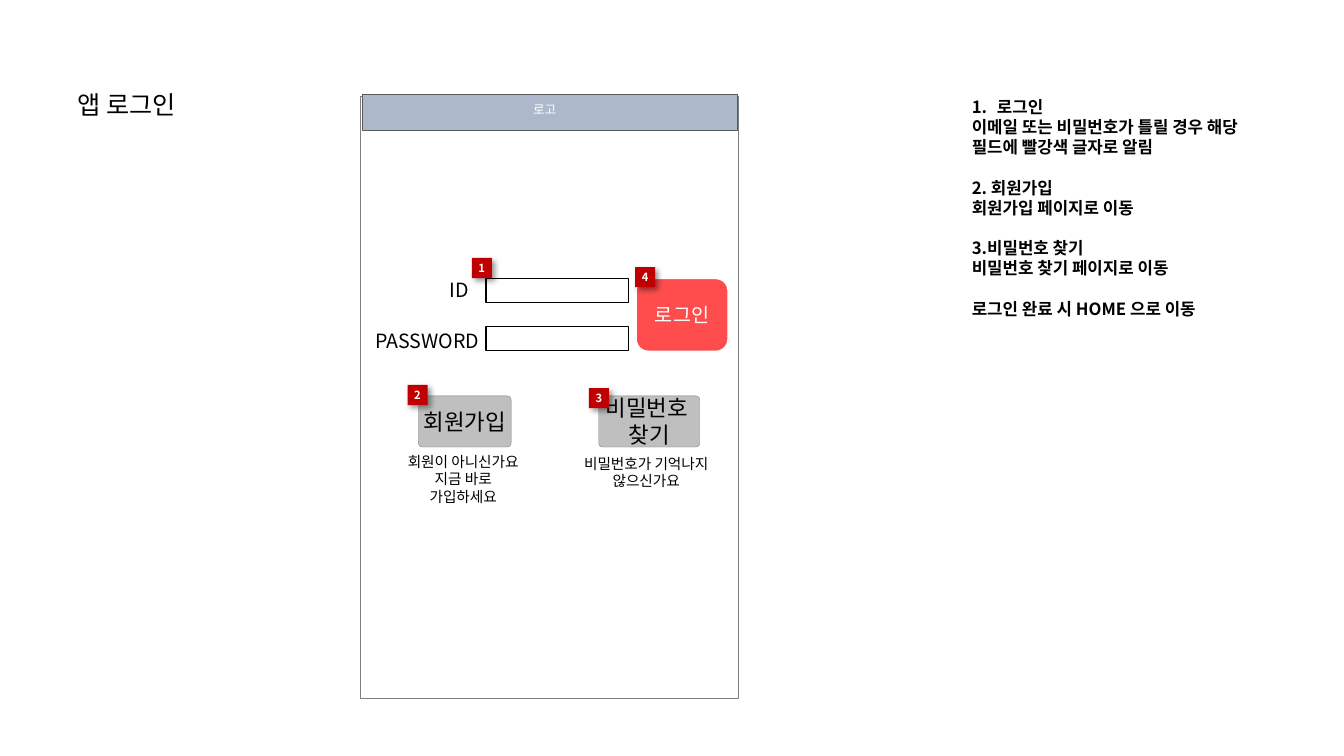
from collections import namedtuple

from lxml.etree import SubElement
from pptx import Presentation
from pptx.dml.color import RGBColor
from pptx.enum.shapes import MSO_SHAPE as Shape
from pptx.enum.text import MSO_ANCHOR as Anchor, PP_ALIGN as Align
from pptx.oxml.ns import qn
from pptx.util import Inches, Pt

FONT = "Noto Sans CJK KR"
Box = namedtuple("Box", "left top width height")
SLIDE = Box(0, 0, 13.33, 7.5)


def part(box, left, top, width, height):
    """Return the area given in percent of the box."""
    return Box(box.left + box.width * left / 100, box.top + box.height * top / 100,
               box.width * width / 100, box.height * height / 100)


def color(hex_code):
    return RGBColor.from_string(hex_code)


def apply(target, values):
    for name, value in values.items():
        setattr(target, name, value)


def write(holder, lines, size, ink="000000", bold=False, align=Align.LEFT,
          anchor=Anchor.TOP, margins=(0.1, 0.05), wrap=True):
    frame = holder.text_frame
    side, edge = map(Inches, margins)
    apply(frame, {"word_wrap": wrap, "vertical_anchor": anchor,
                  "margin_left": side, "margin_right": side,
                  "margin_top": edge, "margin_bottom": edge})
    for index, line in enumerate(lines):
        paragraph = frame.add_paragraph() if index else frame.paragraphs[0]
        apply(paragraph, {"alignment": align, "line_spacing": Pt(size * 1.2)})
        run = paragraph.add_run()
        run.text = line
        apply(run.font, {"size": Pt(size), "bold": bold, "name": FONT})
        run.font.color.rgb = color(ink)
        SubElement(run.font._element, qn("a:ea"), typeface=FONT)
    return frame


def add_text(slide, box, lines, size, **style):
    return write(slide.shapes.add_textbox(*map(Inches, box)), lines, size, **style)


def add_panel(slide, box, fill, line=None, weight=1, kind=Shape.RECTANGLE, corner=None):
    panel = slide.shapes.add_shape(kind, *map(Inches, box))
    panel.shadow.inherit = False
    panel.fill.solid()
    panel.fill.fore_color.rgb = color(fill)
    if line:
        panel.line.color.rgb = color(line)
        panel.line.width = Pt(weight)
    else:
        panel.line.fill.background()
    if corner:
        panel.adjustments[0] = corner
    return panel


def set_alpha(parent, percent):
    SubElement(parent.find(".//" + qn("a:srgbClr")), qn("a:alpha"), val=str(percent * 1000))


def add_badge(slide, box, number):
    badge = add_panel(slide, box, "C00000")
    effects = badge._element.spPr.find(qn("a:effectLst"))
    shadow = SubElement(effects, qn("a:outerShdw"), blurRad=str(Pt(4)), dist=str(Pt(3)),
                        dir=str(45 * 60000), algn="tl", rotWithShape="0")
    SubElement(shadow, qn("a:srgbClr"), val="000000")
    set_alpha(shadow, 40)
    write(badge, [str(number)], 8, ink="FFFFFF", bold=True, align=Align.CENTER,
          anchor=Anchor.MIDDLE, margins=(0, 0), wrap=False)


def add_header(slide, box):
    add_panel(slide, part(box, 0.3, -0.3, 99.2, 5.9), "ADB9CA", "595959", 0.75)
    add_text(slide, part(box, 42.9, 0, 28.3, 5.2), ["로고"], 9, ink="FFFFFF")


def add_login_form(slide, box):
    for label, left, label_top, width, field_top in (("ID", 20.8, 29.3, 13.1, 30.2),
                                                     ("PASSWORD", 1.1, 37.7, 36, 38.2)):
        add_panel(slide, part(box, 33.1, field_top, 37.6, 4), "FFFFFF", "000000")
        add_text(slide, part(box, left, label_top, width, 5.7), [label], 14)
    login = add_panel(slide, part(box, 72.8, 30.2, 24.3, 12.1), "FF0000", "FFFFFF",
                      kind=Shape.ROUNDED_RECTANGLE)
    set_alpha(login._element.spPr.find(qn("a:solidFill")), 70)
    write(login, ["로그인"], 14, ink="FFFFFF", align=Align.CENTER, anchor=Anchor.MIDDLE)


def add_account_links(slide, box):
    links = (
        (["회원가입"], (15.2, 24.5),
         ["회원이 아니신가요", "지금 바로 가입하세요"], (7.7, 58.3, 38.7, 7.5)),
        (["비밀번호 ", "찾기"], (62.9, 26.7),
         ["비밀번호가 기억나지", "않으신가요"], (54.1, 58.6, 42.7, 7.5)),
    )
    for name, (left, width), caption, caption_area in links:
        add_text(slide, part(box, *caption_area), caption, 10.5, align=Align.CENTER)
        button = add_panel(slide, part(box, left, 49.7, width, 8.5), "BFBFBF", "808080", 0.25,
                           Shape.ROUNDED_RECTANGLE, 0.075)
        write(button, name, 16, align=Align.CENTER, anchor=Anchor.MIDDLE, margins=(0, 0.05))


def add_phone(slide, box):
    add_panel(slide, box, "FFFFFF", "7F7F7F", 0.75)
    add_header(slide, box)
    add_login_form(slide, box)
    add_account_links(slide, box)
    corners = ((29.3, 26.8), (12.3, 47.9), (60.3, 48.4), (72.5, 28.3))
    for number, corner in enumerate(corners, 1):
        add_badge(slide, part(box, *corner, 5.3, 3.35), number)


def add_notes(slide, box):
    groups = (
        ("로그인", "이메일 또는 비밀번호가 틀릴 경우 해당 필드에 빨강색 글자로 알림"),
        ("2. 회원가입", "회원가입 페이지로 이동"),
        ("3.비밀번호 찾기", "비밀번호 찾기 페이지로 이동"),
        ("로그인 완료 시 HOME 으로 이동",),
    )
    frame = add_text(slide, box, [line for group in groups for line in group], 12, bold=True)
    first = frame.paragraphs[0]._p.get_or_add_pPr()
    first.set("marL", str(Inches(0.25)))
    first.set("indent", str(-Inches(0.25)))
    SubElement(first, qn("a:buFont"), typeface="+mj-lt")
    SubElement(first, qn("a:buAutoNum"), type="arabicPeriod")
    start = 0
    for group in groups[:-1]:
        start += len(group)
        frame.paragraphs[start].space_before = Pt(14.4)


def main():
    deck = Presentation()
    apply(deck, {"slide_width": Inches(SLIDE.width), "slide_height": Inches(SLIDE.height)})
    slide = deck.slides.add_slide(deck.slide_layouts[6])
    add_text(slide, part(SLIDE, 0.53, 11.2, 17.78, 3.73), ["앱 로그인"], 18, align=Align.CENTER)
    add_notes(slide, part(SLIDE, 71.57, 12.13, 22.96, 30.93))
    add_phone(slide, part(SLIDE, 26.86, 12.8, 28.13, 79.6))
    deck.save("out.pptx")


if __name__ == "__main__":
    main()
